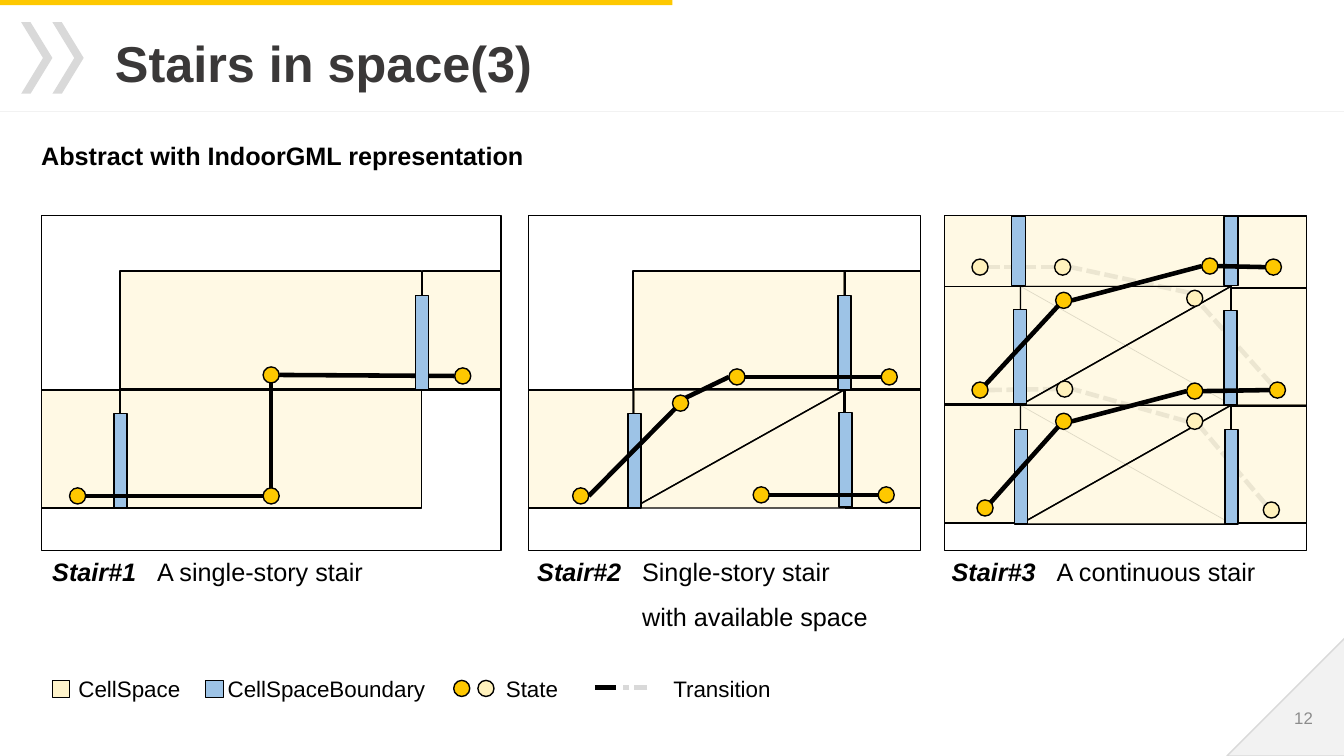
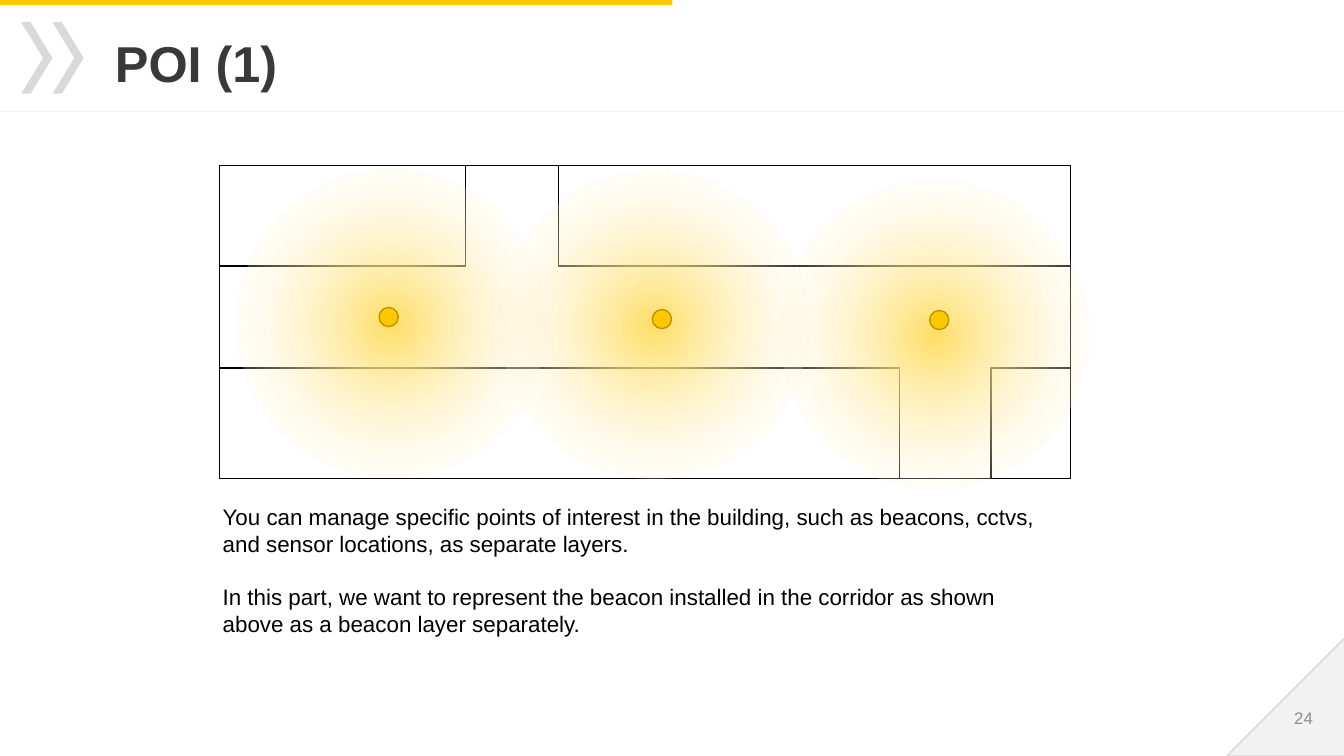
from dataclasses import dataclass
from typing import Any

from lxml.etree import SubElement
from pptx import Presentation
from pptx.dml.color import RGBColor
from pptx.enum.dml import MSO_LINE
from pptx.enum.shapes import MSO_CONNECTOR, MSO_SHAPE
from pptx.enum.text import MSO_ANCHOR, MSO_AUTO_SIZE, PP_ALIGN
from pptx.oxml import parse_xml
from pptx.oxml.ns import nsdecls, qn
from pptx.util import Inches, Pt

FONT = "Arial"
COLORS = {
    "accent": "FEC800", "accent_edge": "BC9400", "glow": "FFDE65",
    "cell": "FFF4CB", "boundary": "9DC3E6", "faint_state": "FFF1BC",
    "faint_line": "D9D9D9", "hint": "BFBFBF", "corner": "F2F2F2",
    "title": "3A3838", "number": "8C8C8C", "black": "000000", "white": "FFFFFF",
}
DOT = 0.16
DOOR_WIDTH, DOOR_HEIGHT = 0.13, 0.94
STORY = 1.17
CAPTION_INDENT = 1.04
DIAGONAL = 0.35 * DOT
ANCHORS = {
    "left": (-DOT / 2, 0), "right": (DOT / 2, 0),
    "top": (0, -DOT / 2), "bottom": (0, DOT / 2),
    "top_left": (-DIAGONAL, -DIAGONAL), "top_right": (DIAGONAL, -DIAGONAL),
    "bottom_left": (-DIAGONAL, DIAGONAL), "bottom_right": (DIAGONAL, DIAGONAL),
}


def rgb(name):
    return RGBColor.from_string(COLORS[name])


def paint(shape, fill=None, line=None, line_width=1, opacity=100):
    shape.shadow.inherit = False
    if fill:
        shape.fill.solid()
        shape.fill.fore_color.rgb = rgb(fill)
        if opacity < 100:
            color = shape._element.spPr.find(qn("a:solidFill")).find(qn("a:srgbClr"))
            SubElement(color, qn("a:alpha"), val=str(opacity * 1000))
    else:
        shape.fill.background()
    if line:
        shape.line.color.rgb = rgb(line)
        shape.line.width = Pt(line_width)
    else:
        shape.line.fill.background()


def add_preset(shapes, kind, left, top, width, height, **style):
    shape = shapes.add_shape(kind, Inches(left), Inches(top), Inches(width), Inches(height))
    paint(shape, **style)
    return shape


def flip(shape, direction):
    shape._element.spPr.find(qn("a:xfrm")).set(direction, "1")


def add_line(shapes, start, end, color="black", width=3.25, dashed=False):
    line = shapes.add_connector(MSO_CONNECTOR.STRAIGHT, *map(Inches, (*start, *end)))
    line.line.color.rgb = rgb(color)
    line.line.width = Pt(width)
    if dashed:
        line.line.dash_style = MSO_LINE.SQUARE_DOT
    SubElement(line._element.spPr, qn("a:effectLst"))


def style_font(paragraph, size, color="black", bold=False):
    font = paragraph.font
    font.name, font.size, font.bold = FONT, Pt(size), bold
    font.color.rgb = rgb(color)


def add_text(slide, left, top, width, height, lines, size, color="black", bold=False):
    box = slide.shapes.add_textbox(Inches(left), Inches(top), Inches(width), Inches(height))
    frame = box.text_frame
    frame.word_wrap = True
    frame.text = "\n".join(lines)
    for paragraph in frame.paragraphs:
        style_font(paragraph, size, color, bold)
    return frame


def add_base_slide(presentation, title, number):
    slide = presentation.slides.add_slide(presentation.slide_layouts[5])
    shapes = slide.shapes
    add_preset(shapes, MSO_SHAPE.RECTANGLE, 0, 0, 6.67, 0.05, fill="accent")
    add_line(shapes, (0, 1.1), (13.33, 1.1), "corner", 0.5)
    for index in range(2):
        chevron = add_preset(shapes, MSO_SHAPE.CHEVRON, 0.21 + 0.31 * index, 0.22,
                             0.31, 0.71, fill="faint_line")
        chevron.adjustments[0] = 0.7
    corner = add_preset(shapes, MSO_SHAPE.RIGHT_TRIANGLE, 12.17, 6.33, 1.17, 1.17,
                        fill="corner", line="faint_line")
    flip(corner, "flipH")

    heading = shapes.title
    heading.left, heading.top = Inches(1.04), Inches(0.26)
    heading.width, heading.height = Inches(11.5), Inches(0.79)
    frame = heading.text_frame
    frame.text = title
    frame.auto_size = MSO_AUTO_SIZE.NONE
    frame.vertical_anchor = MSO_ANCHOR.MIDDLE
    paragraph = frame.paragraphs[0]
    paragraph.alignment = PP_ALIGN.LEFT
    paragraph.line_spacing = 0.9
    style_font(paragraph, 36, "title", True)

    frame = add_text(slide, 10.12, 6.92, 3, 0.4, [str(number)], 12, "number")
    frame.vertical_anchor = MSO_ANCHOR.MIDDLE
    frame.paragraphs[0].alignment = PP_ALIGN.RIGHT
    return slide


@dataclass
class Panel:
    shapes: Any
    left: float
    top: float

    def point(self, x, y):
        return self.left + x, self.top + y

    def frame(self, width, height):
        add_preset(self.shapes, MSO_SHAPE.RECTANGLE, self.left, self.top,
                   width, height, line="black")

    def cell(self, x, y, width, height=STORY, kind=MSO_SHAPE.RECTANGLE):
        return add_preset(self.shapes, kind, *self.point(x, y), width, height,
                          fill="cell", line="black", opacity=50)

    def split_cell(self, x, y, width, height=STORY):
        for direction in ("flipV", "flipH"):
            flip(self.cell(x, y, width, height, MSO_SHAPE.RIGHT_TRIANGLE), direction)

    def boundary(self, x, y, width=DOOR_WIDTH, height=DOOR_HEIGHT):
        add_preset(self.shapes, MSO_SHAPE.RECTANGLE, *self.point(x, y), width, height,
                   fill="boundary", line="black")

    def line(self, start, end, **style):
        add_line(self.shapes, self.point(*start), self.point(*end), **style)

    def transition(self, start, end, leave="right", arrive="left", **style):
        ends = [(x + ANCHORS[side][0], y + ANCHORS[side][1])
                for (x, y), side in ((start, leave), (end, arrive))]
        self.line(*ends, **style)

    def states(self, centers, fill="accent"):
        for x, y in centers:
            add_preset(self.shapes, MSO_SHAPE.OVAL, *self.point(x - DOT / 2, y - DOT / 2),
                       DOT, DOT, fill=fill, line="black")


def add_panel(slide, left, top):
    return Panel(slide.shapes.add_group_shape().shapes, left, top)


def add_single_story(slide, left, top, width, height):
    panel = add_panel(slide, left, top)
    start, foot, landing, finish = (0.36, 2.78), (2.28, 2.78), (2.28, 1.58), (4.18, 1.59)
    panel.line((0, 2.9), (0.78, 2.9), width=0.5)
    panel.line((3.78, 1.73), (width, 1.73), width=0.5)
    panel.frame(width, height)
    for cell in ((0.78, 1.73, 2.99), (0.78, 0.55, 2.99), (3.78, 0.55, 0.78), (0, 1.73, 0.78)):
        panel.cell(*cell)
    panel.boundary(0.72, 1.96)
    panel.transition(landing, foot, "bottom", "top")
    panel.transition(landing, finish)
    panel.boundary(3.71, 0.79)
    panel.transition(start, foot)
    panel.states((start, foot, landing, finish))


def add_available_space(slide, left, top, width, height):
    panel = add_panel(slide, left, top)
    start, rise, landing, finish = (0.52, 2.78), (1.51, 1.86), (2.07, 1.6), (3.58, 1.6)
    under, under_exit = (2.31, 2.77), (3.55, 2.77)
    panel.frame(width, height)
    panel.cell(0, 1.73, 1.05)
    panel.split_cell(1.04, 1.73, 2.09)
    for cell in ((3.13, 0.55, 0.76), (3.14, 1.73, 0.75), (1.04, 0.55, 2.1)):
        panel.cell(*cell)
    for door in ((0.99, 1.96), (3.07, 0.79), (3.08, 1.95)):
        panel.boundary(*door)
    panel.transition(start, rise, "right", "bottom_left")
    panel.transition(rise, landing, "top_right", "left")
    panel.transition(landing, finish)
    panel.transition(under, under_exit)
    panel.states((start, rise, landing, finish, under, under_exit))


def add_continuous(slide, left, top, width, height):
    panel = add_panel(slide, left, top)
    flights = (
        ((0.4, 2.9), (1.18, 2.04), (2.48, 1.74), (3.3, 1.73)),
        ((0.35, 1.73), (1.18, 0.84), (2.63, 0.5), (3.26, 0.51)),
    )
    faint_flights = (
        (flights[1][0], (1.19, 1.72), (2.48, 2.04), (3.24, 2.92), "left"),
        ((0.35, 0.51), (1.17, 0.51), (2.48, 0.82), flights[0][3], "top_left"),
    )
    faint = {"color": "faint_line", "dashed": True}
    for first, second, third, last, side in faint_flights:
        panel.transition(last, third, "top_left", "bottom_right", **faint)
        panel.transition(third, second, side, "right", **faint)
        panel.transition(second, first, "left", "right", **faint)
    for y in (1.88, 0.7):
        panel.line((2.85, y + 1.18), (0.75, y), color="hint", width=0.5)
    panel.frame(width, height)
    for y, right_y in ((1.88, 1.88), (0.7, 0.72)):
        panel.split_cell(0.75, y, 2.09, 1.18)
        panel.cell(2.84, right_y, 0.75)
        panel.cell(0, y, 0.75)
    for x, y, cell_width in ((2.84, 0.01, 0.75), (0, 0, 0.75), (0.76, 0, 2.08)):
        panel.cell(x, y, cell_width, 0.7)
    for door in ((0.68, 0.93), (0.69, 2.12), (2.77, 0.94), (2.78, 2.12)):
        panel.boundary(*door)
    for x in (0.66, 2.77):
        panel.boundary(x, 0.01, 0.14, 0.68)
    for start, rise, landing, finish in flights:
        panel.transition(start, rise, "top_right", "bottom_left")
        panel.transition(rise, landing)
        panel.transition(landing, finish)
        panel.states((start, rise, landing, finish))
    panel.states(((0.35, 0.51), (1.17, 0.51), (2.48, 0.82),
                  (1.19, 1.72), (2.48, 2.04), (3.24, 2.92)), "faint_state")


def add_caption(slide, left, top, width, label, lines):
    frame = add_text(slide, left, top, width, 0.4 * len(lines), ["", *lines[1:]], 18)
    for index, paragraph in enumerate(frame.paragraphs):
        properties = paragraph._p.get_or_add_pPr()
        properties.set("marL", str(Inches(CAPTION_INDENT)))
        if index:
            paragraph.line_spacing = 1.5
        else:
            properties.set("indent", str(-Inches(CAPTION_INDENT)))
            run = paragraph.add_run()
            run.text = label
            run.font.bold = run.font.italic = True
            paragraph.add_run().text = "\t" + lines[0]


def add_legend(slide, left, top):
    shapes = slide.shapes
    for x, fill in ((0, "cell"), (1.52, "boundary")):
        add_preset(shapes, MSO_SHAPE.RECTANGLE, left + x, top, 0.17, 0.17,
                   fill=fill, line="black", line_width=0.25)
    for x, fill in ((3.98, "accent"), (4.22, "faint_state")):
        add_preset(shapes, MSO_SHAPE.OVAL, left + x, top, DOT, DOT, fill=fill, line="black")
    middle = top + 0.07
    add_line(shapes, (left + 5.38, middle), (left + 5.59, middle))
    add_line(shapes, (left + 5.9, middle), (left + 5.66, middle), "faint_line", dashed=True)
    for x, width, label in ((0.16, 1.28, "CellSpace"), (1.64, 2.18, "CellSpaceBoundary"),
                            (4.4, 0.9, "State"), (6.06, 1.28, "Transition")):
        add_text(slide, left + x, top - 0.1, width, 0.37, [label], 16)


def add_floor_plan(slide, left, top, width, height):
    add_preset(slide.shapes, MSO_SHAPE.RECTANGLE, left, top, width, height,
               fill="white", line="black")
    outline = [(2.44, 0), (3.36, 0), (3.36, 1), (width, 1), (width, 2.01), (7.65, 2.01),
               (7.65, height), (6.74, height), (6.74, 2.01), (0, 2.01), (0, 1), (2.44, 1)]
    points = [(Inches(left + x), Inches(top + y)) for x, y in outline]
    builder = slide.shapes.build_freeform(*points[0])
    builder.add_line_segments(points[1:], close=True)
    paint(builder.convert_to_shape(), fill="white", line="black")


def add_glow(slide, left, top, size):
    glow = add_preset(slide.shapes, MSO_SHAPE.OVAL, left, top, size, size)
    properties = glow._element.spPr
    gradient = parse_xml(
        f'<a:gradFill {nsdecls("a")} rotWithShape="1"><a:gsLst>'
        f'<a:gs pos="0"><a:srgbClr val="{COLORS["glow"]}"/></a:gs>'
        f'<a:gs pos="90000"><a:srgbClr val="{COLORS["white"]}"><a:alpha val="0"/></a:srgbClr></a:gs>'
        '</a:gsLst><a:path path="circle">'
        '<a:fillToRect l="50000" t="50000" r="50000" b="50000"/></a:path></a:gradFill>')
    properties.replace(properties.find(qn("a:noFill")), gradient)


def build_stairs_slide(presentation):
    slide = add_base_slide(presentation, "Stairs in space(3)", 12)
    add_text(slide, 0.31, 1.34, 6.26, 0.4, ["Abstract with IndoorGML representation"], 18, bold=True)
    stairs = (
        (add_single_story, 0.41, 4.56, 0.42, ["A single-story stair"]),
        (add_available_space, 5.24, 3.89, 5.23, ["Single-story stair", "with available space"]),
        (add_continuous, 9.37, 3.59, 9.34, ["A continuous stair"]),
    )
    for number, (add_diagram, left, width, caption_left, lines) in enumerate(stairs, 1):
        add_diagram(slide, left, 2.14, width, 3.32)
        add_caption(slide, caption_left, 5.47, width, f"Stair#{number}", lines)
    add_legend(slide, 0.52, 6.75)


def build_poi_slide(presentation):
    slide = add_base_slide(presentation, "POI (1)", 24)
    add_floor_plan(slide, 2.18, 1.64, 8.44, 3.11)
    for left, top in ((2.35, 1.68), (7.74, 1.79), (4.96, 1.69)):
        add_glow(slide, left, top, 3.06)
    for left, top in ((3.76, 3.05), (6.47, 3.07), (9.22, 3.08)):
        add_preset(slide.shapes, MSO_SHAPE.OVAL, left, top, 0.19, 0.19,
                   fill="accent", line="accent_edge")
    frame = add_text(slide, 2.11, 4.94, 8.51, 1.45, [
        "You can manage specific points of interest in the building, such as beacons, cctvs, and sensor locations, as separate layers.",
        "In this part, we want to represent the beacon installed in the corridor as shown above as a beacon layer separately.",
    ], 16)
    frame.paragraphs[0].space_after = Pt(19)


def main():
    presentation = Presentation()
    presentation.slide_width, presentation.slide_height = Inches(13.33), Inches(7.5)
    build_stairs_slide(presentation)
    build_poi_slide(presentation)
    presentation.save("out.pptx")


if __name__ == "__main__":
    main()
